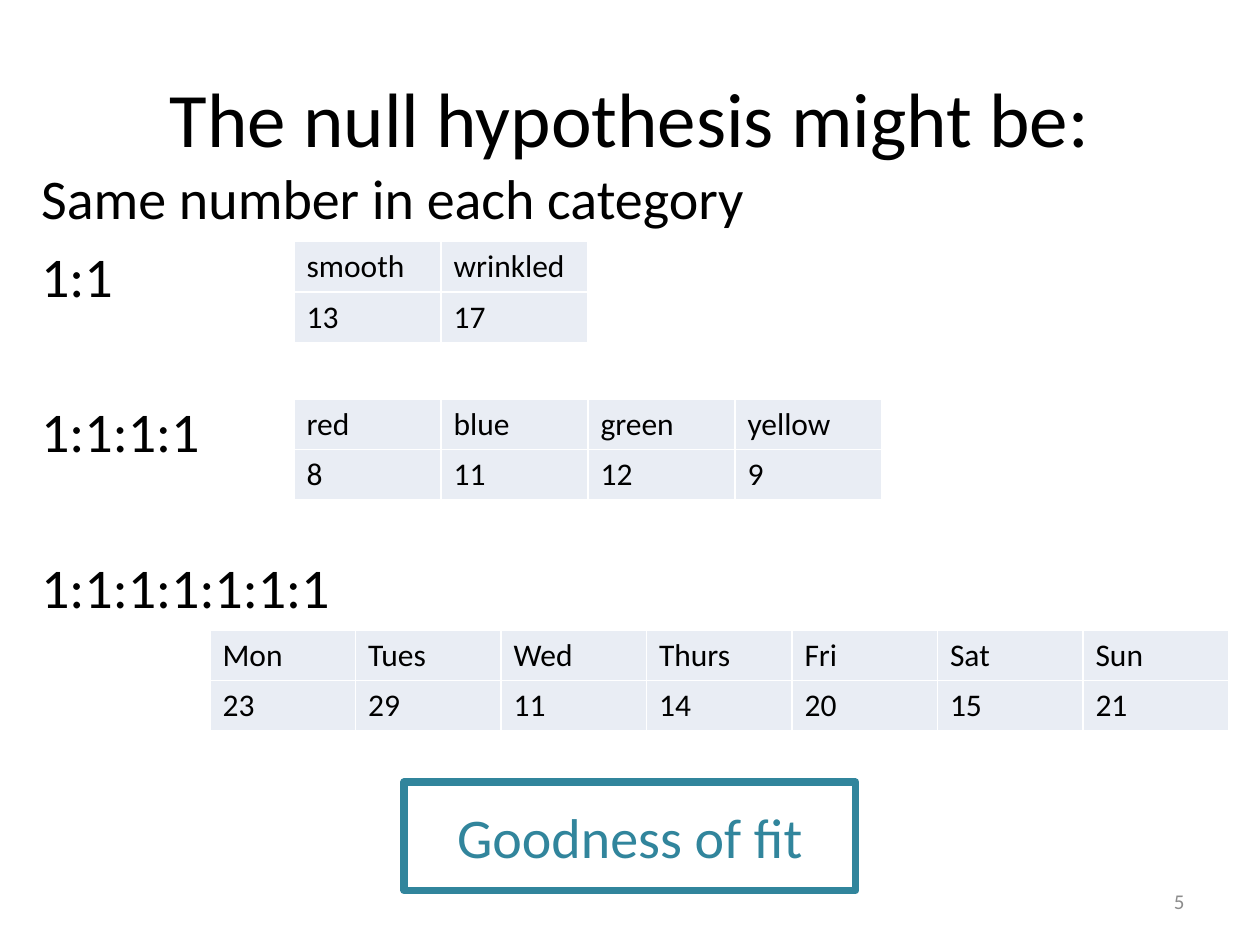
from lxml import etree
from pptx import Presentation
from pptx.dml.color import RGBColor
from pptx.enum.shapes import MSO_SHAPE
from pptx.enum.text import MSO_ANCHOR, MSO_AUTO_SIZE, PP_ALIGN
from pptx.oxml.ns import qn
from pptx.util import Inches, Pt

BLACK = RGBColor(0x00, 0x00, 0x00)
WHITE = RGBColor(0xFF, 0xFF, 0xFF)
GREY = RGBColor(0x8C, 0x8C, 0x8C)
PALE = RGBColor(0xE9, 0xED, 0xF4)
TEAL = RGBColor(0x31, 0x85, 0x9C)
LEFT, MID, RIGHT = PP_ALIGN.LEFT, PP_ALIGN.CENTER, PP_ALIGN.RIGHT
RECT = MSO_SHAPE.RECTANGLE
CENTRE = MSO_ANCHOR.MIDDLE
FIXED = MSO_AUTO_SIZE.NONE
GROW = MSO_AUTO_SIZE.SHAPE_TO_FIT_TEXT

COLS, ROWS = 60, 45
GAP = 5.8  # points between list lines

# Each list line with its space before, in points
LINES = [
    ("Same number in each category", GAP),
    ("1:1", GAP),
    ("1:1:1:1", 2 * GAP + 39),
    ("1:1:1:1:1:1:1", 2 * GAP + 39),
]

# Left, top and width in grid units, then the rows
COUNTS = [
    (14, 11.5, 14, [["smooth", "wrinkled"], [13, 17]]),
    (14, 19, 28, [["red", "blue", "green", "yellow"], [8, 11, 12, 9]]),
    (10, 30, 48.5, [["Mon", "Tues", "Wed", "Thurs", "Fri", "Sat", "Sun"],
                    [23, 29, 11, 14, 20, 15, 21]]),
]


def write(par, text, size=18, color=BLACK, align=LEFT, before=0):
    par.alignment = align
    par.space_before = Pt(before)
    run = par.add_run()
    run.text = str(text)
    run.font.name = "Calibri"
    run.font.size = Pt(size)
    run.font.color.rgb = color


def edge(cell, color, width):
    """Draw the four borders of a cell; call before its fill is set."""
    props = cell._tc.get_or_add_tcPr()
    for side in ("a:lnL", "a:lnR", "a:lnT", "a:lnB"):
        line = etree.SubElement(props, qn(side), w=str(Pt(width)))
        fill = etree.SubElement(line, qn("a:solidFill"))
        etree.SubElement(fill, qn("a:srgbClr"), val=str(color))


class Deck:
    def __init__(self):
        self.file = Presentation()
        self.file.slide_width = Inches(10)
        self.file.slide_height = Inches(7.5)
        self.slide = self.file.slides.add_slide(self.file.slide_layouts[1])
        self.shapes = self.slide.shapes

    def area(self, col, row, wide, high):
        """Turn grid units into left, top, width and height."""
        x = self.file.slide_width / COLS
        y = self.file.slide_height / ROWS
        return int(col * x), int(row * y), int(wide * x), int(high * y)

    def place(self, shape, *spot):
        shape.left, shape.top, shape.width, shape.height = self.area(*spot)
        shape.text_frame.auto_size = FIXED
        return shape.text_frame

    def title(self, text, *spot):
        frame = self.place(self.shapes.title, *spot)
        frame.vertical_anchor = CENTRE
        write(frame.paragraphs[0], text, size=44, align=MID)

    def body(self, lines, *spot):
        frame = self.place(self.slide.placeholders[1], *spot)
        for i, (text, before) in enumerate(lines):
            par = frame.add_paragraph() if i else frame.paragraphs[0]
            write(par, text, size=32, before=before)
            props = par._p.get_or_add_pPr()
            props.set("marL", str(Inches(0.06)))
            props.set("indent", "0")
            etree.SubElement(props, qn("a:buNone"))

    def note(self, text, *spot):
        frame = self.shapes.add_textbox(*self.area(*spot)).text_frame
        frame.word_wrap = True
        frame.vertical_anchor = CENTRE
        write(frame.paragraphs[0], text, size=12, color=GREY, align=RIGHT)

    def table(self, rows, *spot):
        wide = len(rows[0])
        grid = self.shapes.add_table(len(rows), wide, *self.area(*spot)).table
        grid.first_row = grid.horz_banding = False
        for r, row in enumerate(rows):
            for c, value in enumerate(row):
                cell = grid.cell(r, c)
                edge(cell, WHITE, 1)
                cell.fill.solid()
                cell.fill.fore_color.rgb = PALE
                write(cell.text_frame.paragraphs[0], value)

    def frame(self, text, *spot):
        box = self.shapes.add_shape(RECT, *self.area(*spot))
        box.shadow.inherit = False
        box.fill.background()
        box.line.color.rgb = TEAL
        box.line.width = Pt(4.25)
        etree.SubElement(box.line._get_or_add_ln(), qn("a:round"))
        inner = box.text_frame
        inner.word_wrap = True
        inner.auto_size = GROW
        inner.vertical_anchor = CENTRE
        inner.margin_top = inner.margin_bottom = Inches(0.16)
        write(inner.paragraphs[0], text, size=32, color=TEAL, align=MID)


def main():
    deck = Deck()
    deck.title("The null hypothesis might be:", 3, 1.8, 54, 7.5)
    deck.body(LINES, 1, 7.5, 36, 25)
    deck.note("5", 43, 41.7, 14, 2.4)
    for left, top, wide, rows in COUNTS:
        deck.table(rows, left, top, wide, 4.8)
    deck.frame("Goodness of fit", 19.25, 37.25, 21.5, 5.15)
    deck.file.save("out.pptx")


if __name__ == "__main__":
    main()
